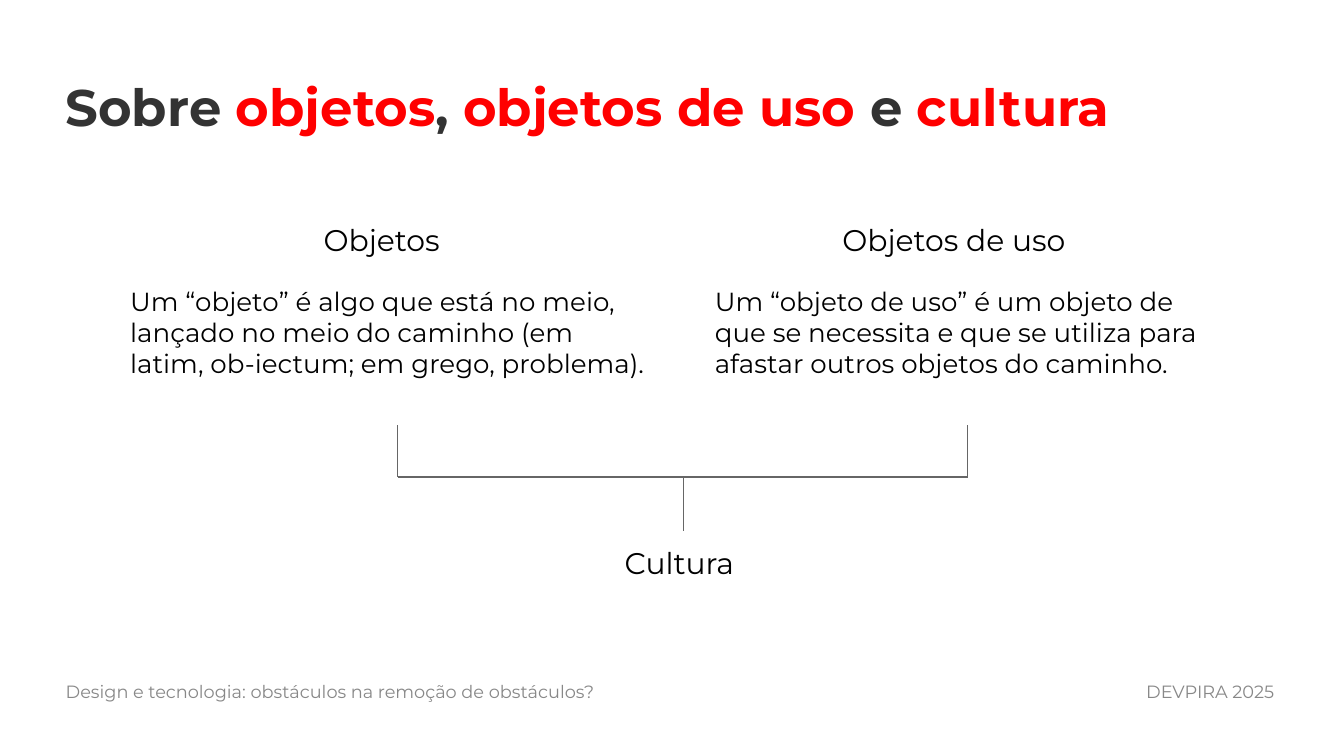
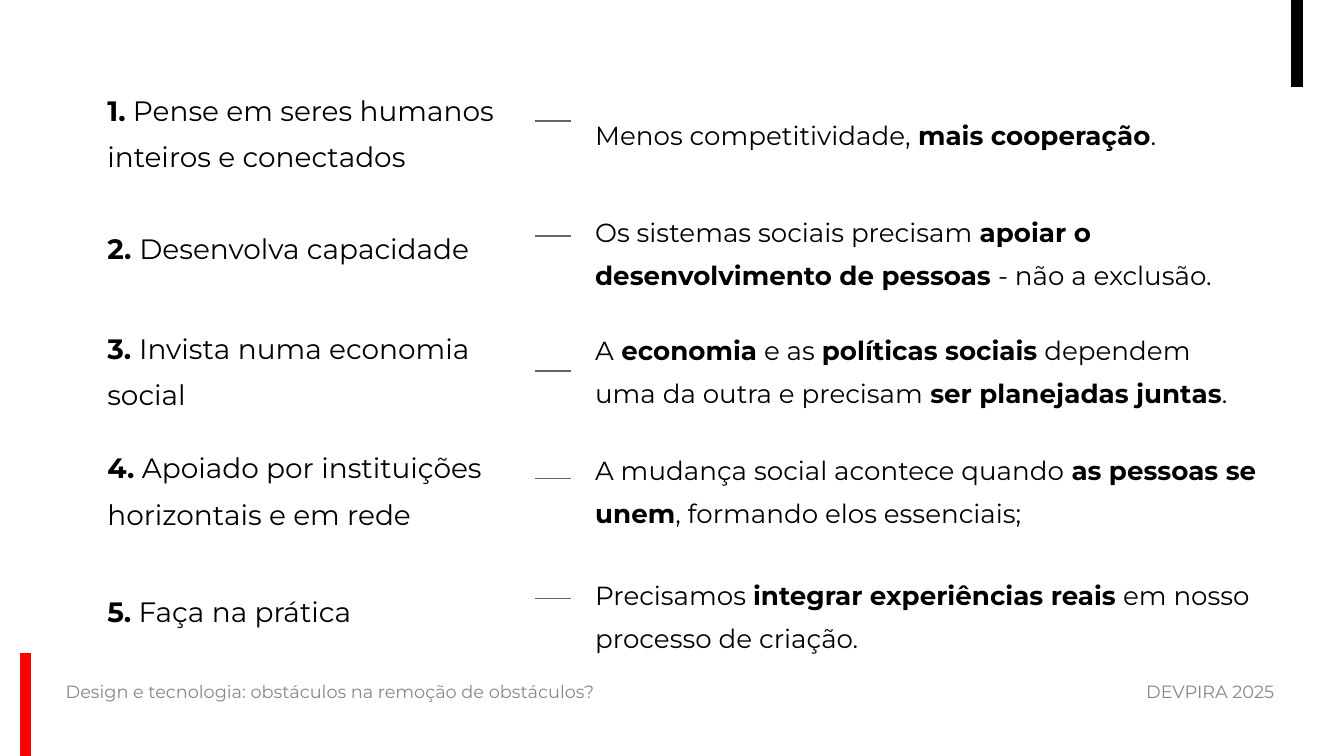
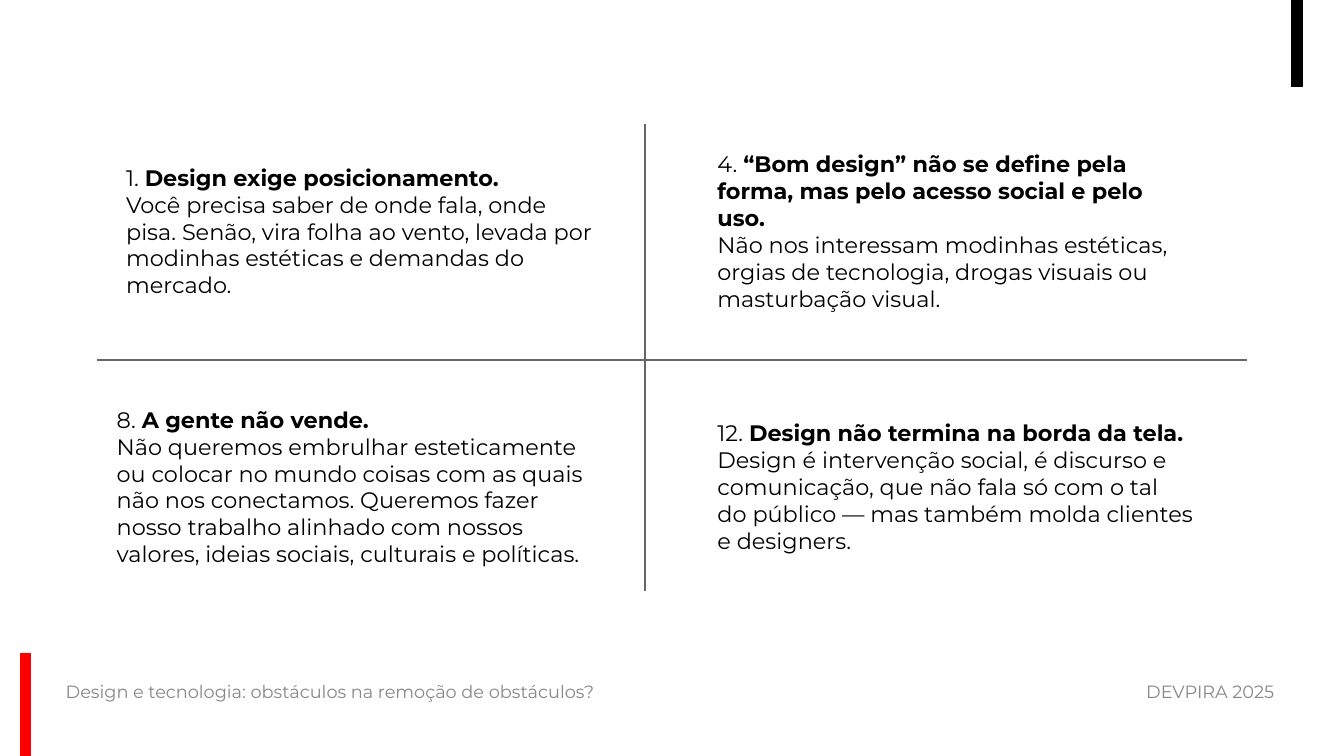
from pptx import Presentation
from pptx.dml.color import RGBColor
from pptx.enum.shapes import MSO_CONNECTOR
from pptx.enum.text import MSO_AUTO_SIZE
from pptx.oxml.xmlchemy import OxmlElement
from pptx.util import Inches, Pt

COLORS = {"ink": "000000", "title": "333333", "accent": "FF0000", "line": "666666", "footer": "888888"}
FONT = "Montserrat"

deck = Presentation()
deck.slide_width = Inches(10)
deck.slide_height = deck.slide_width * 9 // 16
CELL = deck.slide_width // 100


def add_text(page, left, top, width, height, lines, size, color="ink", spacing=None, heading=False):
    box = page.shapes.add_textbox(*(round(n * CELL) for n in (left, top, width, height)))
    frame = box.text_frame
    frame.word_wrap = True
    frame.auto_size = MSO_AUTO_SIZE.SHAPE_TO_FIT_TEXT
    frame.margin_left = frame.margin_right = frame.margin_top = frame.margin_bottom = CELL
    for number, line in enumerate(lines):
        para = frame.add_paragraph() if number else frame.paragraphs[0]
        para.line_spacing = spacing
        para.font.name = FONT
        para.font.size = Pt(size)
        para.font.bold = heading
        para.font.color.rgb = RGBColor.from_string(COLORS[color])
        for part, words in enumerate(line.split("*")):
            if not words:
                continue
            span = para.add_run()
            span.text = words
            if part % 2 and heading:
                span.font.color.rgb = RGBColor.from_string(COLORS["accent"])
            elif part % 2:
                span.font.bold = True
    return box


def add_line(page, x1, y1, x2, y2, color="line", weight=0.75):
    line = page.shapes.add_connector(MSO_CONNECTOR.STRAIGHT, *(round(n * CELL) for n in (x1, y1, x2, y2)))
    line.line.color.rgb = RGBColor.from_string(COLORS[color])
    line.line.width = Pt(weight)
    line._element.spPr.append(OxmlElement("a:effectLst"))
    return line


pages = [deck.slides.add_slide(deck.slide_layouts[6]) for _ in range(3)]
culture_page, principles_page, manifesto_page = pages

for page in pages:
    for left, width, words in [
        (3.9, 42.8, "Design e tecnologia: obstáculos na remoção de obstáculos?"),
        (84.3, 12.1, "DEVPIRA 2025"),
    ]:
        add_text(page, left, 49.5, width, 3.6, [words], 9.5, "footer", 1.15)

for page in (principles_page, manifesto_page):
    add_line(page, 96.5, -1, 96.5, 6.5, "ink", 6)
    add_line(page, 1.9, 48.6, 1.9, 56.25, "accent", 6)

add_text(
    culture_page, 3.9, 3.9, 100, 6.7,
    ["Sobre *objetos*, *objetos de uso* e *cultura*"], 27.5, "title", 1.15, True,
)
for left, width, definition in [
    (8.7, 40.3, "Um “objeto” é algo que está no meio, lançado no meio do caminho (em latim, ob-iectum; em grego, problema)."),
    (52.2, 39.1, "Um “objeto de uso” é um objeto de que se necessita e que se utiliza para afastar outros objetos do caminho."),
]:
    add_text(culture_page, left, 20.2, width, 9.1, [definition], 14)
for left, width, term in [(23.1, 11.6, "Objetos"), (61.7, 20, "Objetos de uso")]:
    add_text(culture_page, left, 15.5, width, 4.7, [term], 16)
culture = add_text(culture_page, 45.5, 39.5, 10.7, 4.7, ["Cultura"], 16)

add_line(culture_page, 29.6, 35.5, 72, 35.5)
for x in (29.6, 72):
    add_line(culture_page, x, 35.5, x, 31.6)
stem = add_line(culture_page, 50.85, 35.5, 50.85, 39.5)
stem.end_connect(culture, 0)

principles = [
    (5, 8, 0, 7, 4.4, "*1.* Pense em seres humanos inteiros e conectados",
     "Menos competitividade, *mais cooperação*."),
    (15.3, 4.5, 0, 14.2, 7.6, "*2. *Desenvolva capacidade",
     "Os sistemas sociais precisam *apoiar o desenvolvimento de pessoas* - não a exclusão."),
    (22.7, 8, 0.9, 23, 7.6, "*3. *Invista numa economia social",
     "A* economia* e as *políticas sociais* dependem uma da outra e precisam *ser planejadas juntas*."),
    (31.6, 8, 0, 31.9, 7.6, "*4.* Apoiado por instituições horizontais e em rede",
     "A mudança social acontece quando *as pessoas se unem*, formando elos essenciais;"),
    (42.3, 4.5, 0, 41.2, 7.6, "*5.* Faça na prática",
     "Precisamos *integrar experiências reais* em nosso processo de criação."),
]
for top, height, shift, note_top, note_height, principle, note in principles:
    label = add_text(principles_page, 7, top, 32.8, height, [principle], 15, spacing=1.38)
    add_text(principles_page, 43.3, note_top, 51.3, note_height, [note], 14, spacing=1.38)
    middle = top + height / 2 + shift
    dash = add_line(principles_page, 39.8, middle, 42.5, middle)
    if not shift:
        dash.begin_connect(label, 3)

for left, top, width, height, heading, body in [
    (8.4, 11.2, 36.7, 12.1, "1. *Design exige posicionamento.*",
     "Você precisa saber de onde fala, onde pisa. Senão, vira folha ao vento, levada por modinhas estéticas e demandas do mercado."),
    (52.4, 10.2, 37.4, 14.1, "4. *“Bom design” não se define pela forma, mas pelo acesso social e pelo uso.*",
     "Não nos interessam modinhas estéticas, orgias de tecnologia, drogas visuais ou masturbação visual."),
    (7.7, 29.2, 37.4, 14.1, "8. *A gente não vende.*",
     "Não queremos embrulhar esteticamente ou colocar no mundo coisas com as quais não nos conectamos. "
     "Queremos fazer nosso trabalho alinhado com nossos valores, ideias sociais, culturais e políticas."),
    (52.4, 30.2, 37.4, 12.1, "12. *Design não termina na borda da tela.*",
     "Design é intervenção social, é discurso e comunicação, que não fala só com o tal do público — "
     "mas também molda clientes e designers."),
]:
    add_text(manifesto_page, left, top, width, height, [heading, body], 12)
add_line(manifesto_page, 48, 9.2, 48, 44)
add_line(manifesto_page, 7.2, 26.8, 92.8, 26.8)

deck.save("out.pptx")
